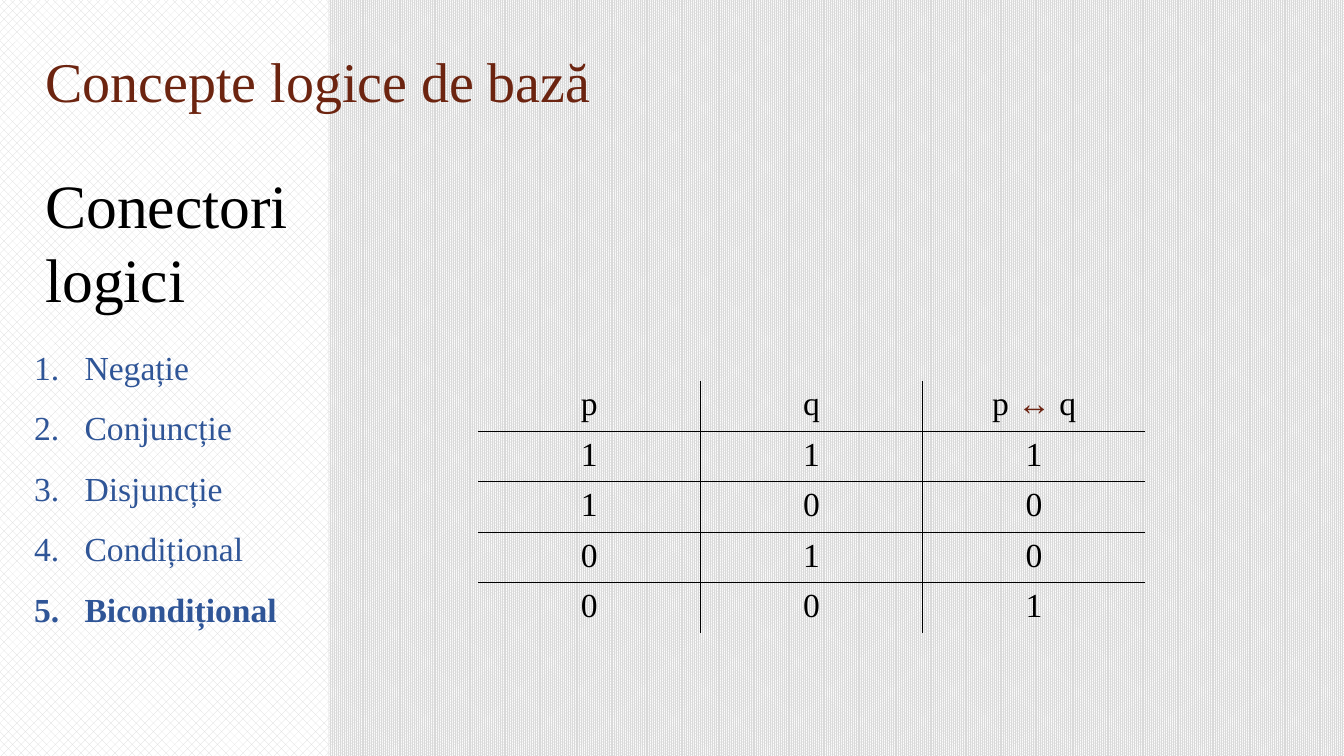
from lxml import etree
from pptx import Presentation
from pptx.dml.color import RGBColor
from pptx.enum.dml import MSO_PATTERN
from pptx.enum.shapes import MSO_SHAPE
from pptx.enum.text import MSO_ANCHOR, MSO_AUTO_SIZE, PP_ALIGN
from pptx.oxml.ns import qn
from pptx.util import Inches, Pt

BLACK, BROWN, BLUE = "000000", "6C2410", "2F5597"


def color(value):
    return RGBColor.from_string(value)


def add_run(paragraph, text, size, hex_color, bold=False):
    run = paragraph.add_run()
    run.text = text
    formats = {"name": "Times New Roman", "size": Pt(size), "bold": bold}
    for attribute, value in formats.items():
        setattr(run.font, attribute, value)
    run.font.color.rgb = color(hex_color)


presentation = Presentation()
presentation.slide_width = Inches(13.33)
presentation.slide_height = Inches(7.5)
slide = presentation.slides.add_slide(presentation.slide_layouts[5])

panel = slide.shapes.add_shape(
    MSO_SHAPE.RECTANGLE, Inches(0), Inches(-0.02), Inches(3.26), Inches(7.52)
)
panel.shadow.inherit = False
panel.line.fill.background()
for fill, pattern in [(slide.background.fill, "pct90"), (panel.fill, "pct40")]:
    fill.patterned()
    fill.pattern = MSO_PATTERN.from_xml(pattern)
    fill.fore_color.rgb = color("D9D9D9")
    fill.back_color.rgb = color("FFFFFF")

title = slide.shapes.title
title.element.addprevious(panel.element)
title_format = {
    "left": Inches(0.35), "top": Inches(0.41),
    "width": Inches(8.78), "height": Inches(0.77),
}
for attribute, value in title_format.items():
    setattr(title, attribute, value)
heading = slide.shapes.add_textbox(Inches(0.35), Inches(1.61), Inches(3.06), Inches(1.58))
connectors = slide.shapes.add_textbox(Inches(0.24), Inches(3.19), Inches(3.02), Inches(3.69))

frame_format = {
    "word_wrap": True,
    "auto_size": MSO_AUTO_SIZE.NONE,
    "vertical_anchor": MSO_ANCHOR.TOP,
}
for shape in (title, heading, connectors):
    for attribute, value in frame_format.items():
        setattr(shape.text_frame, attribute, value)

title_paragraph = title.text_frame.paragraphs[0]
title_paragraph.alignment = PP_ALIGN.LEFT
add_run(title_paragraph, "Concepte logice de bază", 40, BROWN)
add_run(heading.text_frame.paragraphs[0], "Conectori logici", 44, BLACK)

names = ["Negație", "Conjuncție", "Disjuncție", "Condițional", "Bicondițional"]
for index, name in enumerate(names):
    frame = connectors.text_frame
    paragraph = frame.add_paragraph() if index else frame.paragraphs[0]
    paragraph.line_spacing = 1.5
    add_run(paragraph, name, 24, BLUE, bold=name == names[-1])
    properties = paragraph._p.get_or_add_pPr()
    properties.set("marL", str(Inches(0.5)))
    properties.set("indent", str(Inches(-0.5)))
    etree.SubElement(properties, qn("a:buFont"), typeface="+mj-lt")
    etree.SubElement(properties, qn("a:buAutoNum"), type="arabicPeriod")

header = [["p"], ["q"], ["p ", "↔︎", " q"]]
truth_values = [[p, q, int(p == q)] for p in (1, 0) for q in (1, 0)]
rows = [header] + [[[str(value)] for value in values] for values in truth_values]
last_row, last_column = len(rows) - 1, len(header) - 1

table = slide.shapes.add_table(
    len(rows), len(header), Inches(4.74), Inches(3.78), Inches(6.62), Inches(2.5)
).table
table.first_row = False
table.horz_banding = False
for row_index, row in enumerate(rows):
    for column_index, parts in enumerate(row):
        cell = table.cell(row_index, column_index)
        cell.fill.background()
        paragraph = cell.text_frame.paragraphs[0]
        paragraph.alignment = PP_ALIGN.CENTER
        for part in parts:
            add_run(paragraph, part, 24, BLACK if part.isascii() else "6C2412")
        borders = {
            "a:lnL": column_index > 0,
            "a:lnR": column_index < last_column,
            "a:lnT": row_index > 0,
            "a:lnB": row_index < last_row,
        }
        cell_properties = cell._tc.get_or_add_tcPr()
        for position, (tag, visible) in enumerate(borders.items()):
            border = etree.Element(qn(tag), w=str(Pt(1)))
            cell_properties.insert(position, border)
            if visible:
                solid = etree.SubElement(border, qn("a:solidFill"))
                etree.SubElement(solid, qn("a:srgbClr"), val=BLACK)
            else:
                etree.SubElement(border, qn("a:noFill"))

presentation.save("out.pptx")
